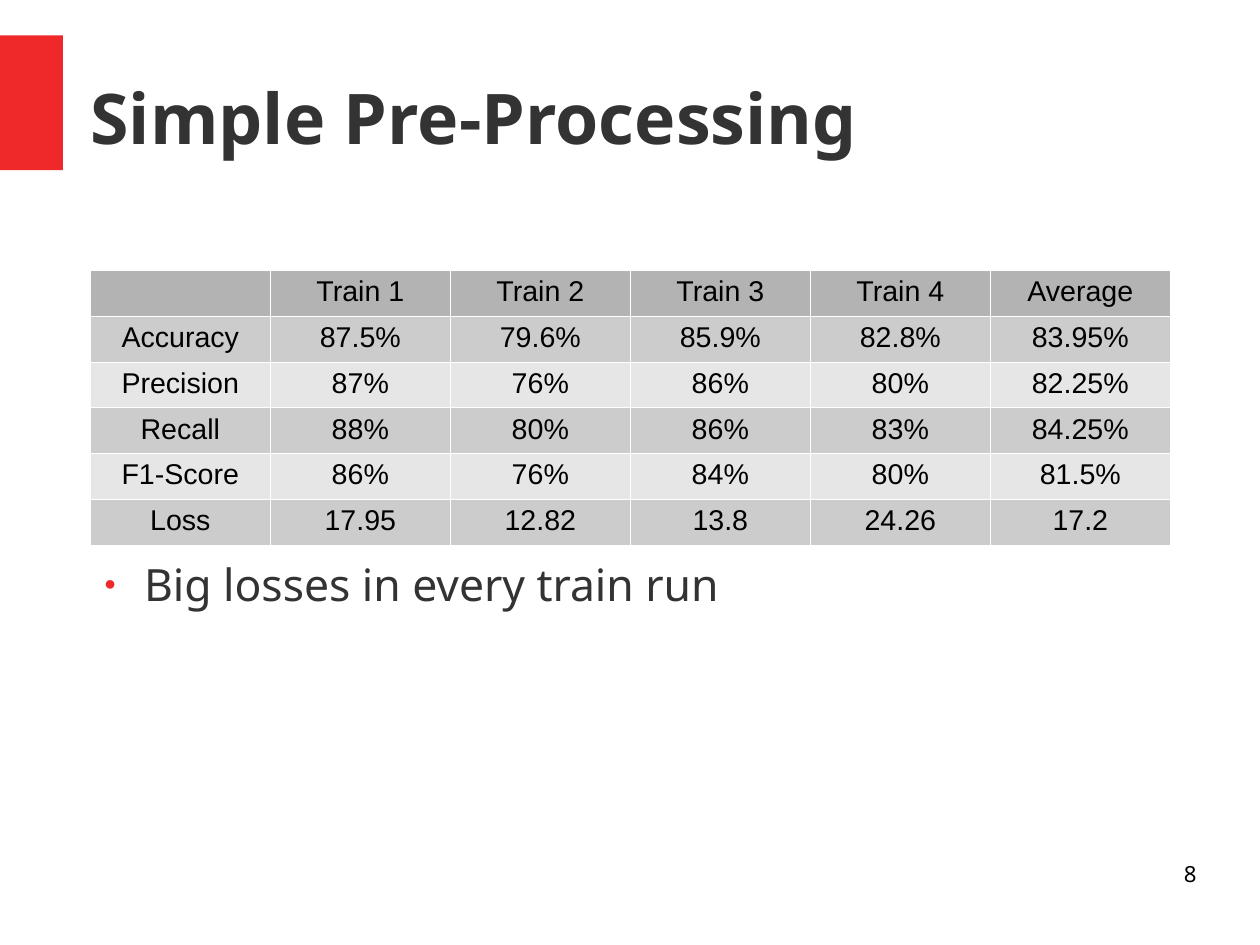
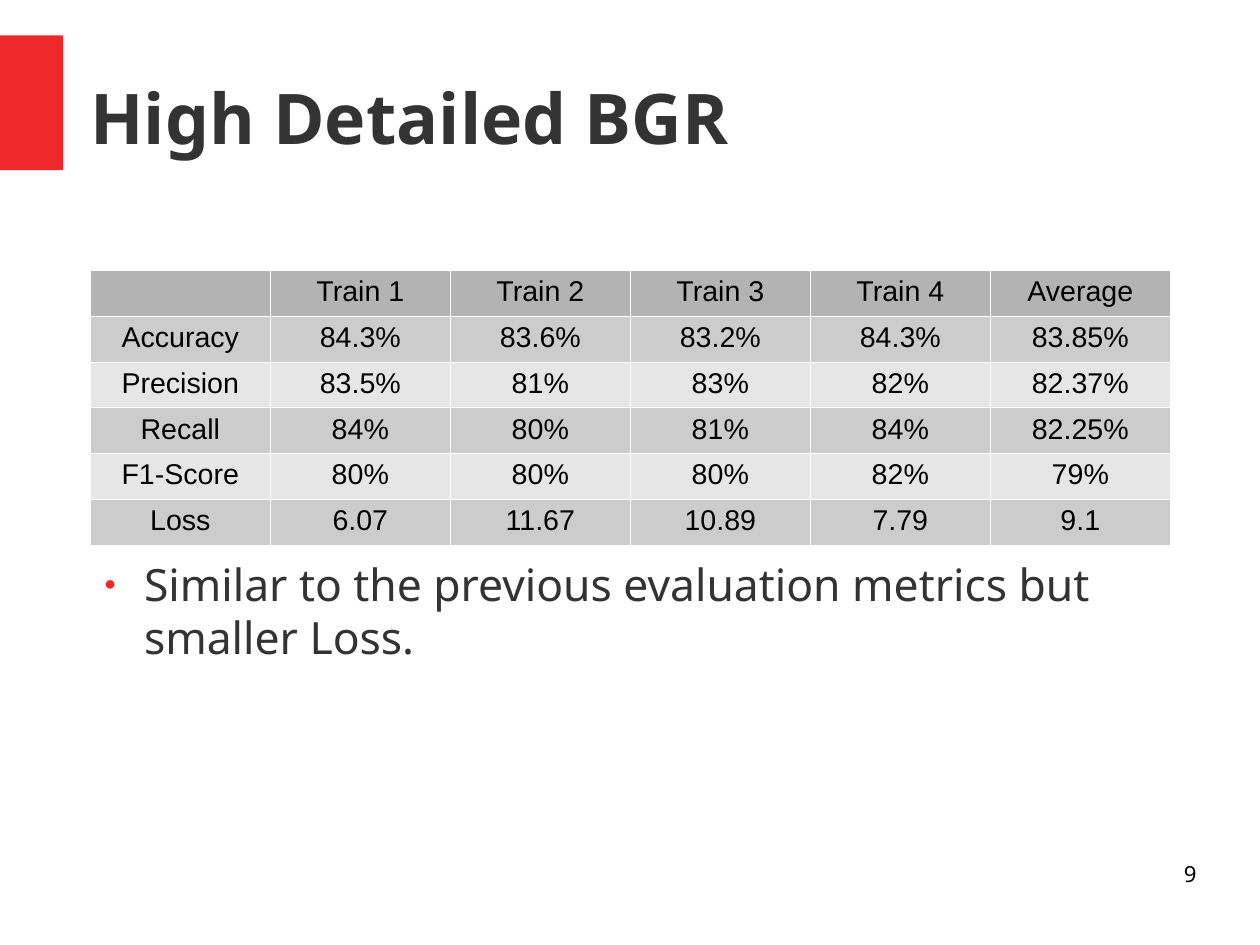
from dataclasses import dataclass

from lxml import etree
from pptx import Presentation
from pptx.dml.color import RGBColor
from pptx.enum.shapes import MSO_SHAPE
from pptx.enum.text import MSO_ANCHOR, PP_ALIGN
from pptx.oxml.ns import qn
from pptx.slide import Slide
from pptx.table import _Cell
from pptx.text.text import TextFrame, _Paragraph
from pptx.util import Inches, Pt

RECTANGLE = MSO_SHAPE.RECTANGLE
TOP, MIDDLE = MSO_ANCHOR.TOP, MSO_ANCHOR.MIDDLE
LEFT, CENTER, RIGHT = PP_ALIGN.LEFT, PP_ALIGN.CENTER, PP_ALIGN.RIGHT

RED, INK, BLACK, WHITE = "EF2929", "333333", "000000", "FFFFFF"
HEADER_GRAY, BAND_GRAYS = "B3B3B3", ("CCCCCC", "E6E6E6")
TEXT_FONT, TABLE_FONT = "Noto Sans", "Arial"

CM_PER_INCH = 2.54
SLIDE_WIDTH, SLIDE_HEIGHT = Inches(28 / CM_PER_INCH), Inches(21 / CM_PER_INCH)
MARGIN, CONTENT_WIDTH = 0.79, 9.45
TABLE_TOP, ROW_HEIGHT = 2.36, 0.4
FIRST_PAGE = 8
HEADER = ("", "Train 1", "Train 2", "Train 3", "Train 4", "Average")


@dataclass(frozen=True)
class Evaluation:
    title: str
    metrics: tuple[tuple[str, ...], ...]
    remark: str


EVALUATIONS = (
    Evaluation(
        "Simple Pre-Processing",
        (
            ("Accuracy", "87.5%", "79.6%", "85.9%", "82.8%", "83.95%"),
            ("Precision", "87%", "76%", "86%", "80%", "82.25%"),
            ("Recall", "88%", "80%", "86%", "83%", "84.25%"),
            ("F1-Score", "86%", "76%", "84%", "80%", "81.5%"),
            ("Loss", "17.95", "12.82", "13.8", "24.26", "17.2"),
        ),
        "Big losses in every train run",
    ),
    Evaluation(
        "High Detailed BGR",
        (
            ("Accuracy", "84.3%", "83.6%", "83.2%", "84.3%", "83.85%"),
            ("Precision", "83.5%", "81%", "83%", "82%", "82.37%"),
            ("Recall", "84%", "80%", "81%", "84%", "82.25%"),
            ("F1-Score", "80%", "80%", "80%", "82%", "79%"),
            ("Loss", "6.07", "11.67", "10.89", "7.79", "9.1"),
        ),
        "Similar to the previous evaluation metrics but smaller Loss.",
    ),
)


def color(value: str) -> RGBColor:
    return RGBColor.from_string(value)


def write(frame: TextFrame, text: str, *, size: float, font: str = TEXT_FONT,
          ink: str = INK, bold: bool = False, align: PP_ALIGN = LEFT,
          anchor: MSO_ANCHOR = TOP, inset: tuple[float, float] = (0, 0)) -> _Paragraph:
    frame.word_wrap = True
    frame.vertical_anchor = anchor
    frame.margin_left = frame.margin_right = Inches(inset[0])
    frame.margin_top = frame.margin_bottom = Inches(inset[1])
    paragraph = frame.paragraphs[0]
    paragraph.alignment = align
    run = paragraph.add_run()
    run.text = text
    run.font.name, run.font.size, run.font.bold = font, Pt(size), bold
    run.font.color.rgb = color(ink)
    return paragraph


def add_accent(slide: Slide) -> None:
    accent = slide.shapes.add_shape(
        RECTANGLE, Inches(0), Inches(0.31), Inches(0.55), Inches(1.18))
    accent.shadow.inherit = False
    accent.fill.solid()
    accent.fill.fore_color.rgb = color(RED)
    accent.line.fill.background()


def add_title(slide: Slide, text: str) -> None:
    title = slide.shapes.title
    title.left, title.top = Inches(MARGIN), Inches(0.33)
    title.width, title.height = Inches(9.68), Inches(1.38)
    write(title.text_frame, text, size=44, bold=True, anchor=MIDDLE)


def set_borders(cell: _Cell) -> None:
    properties = cell._tc.get_or_add_tcPr()
    for position, side in enumerate(("a:lnL", "a:lnR", "a:lnT", "a:lnB")):
        border = etree.Element(qn(side), w=str(Pt(0.06)))
        fill = etree.SubElement(border, qn("a:solidFill"))
        etree.SubElement(fill, qn("a:srgbClr"), val=WHITE)
        properties.insert(position, border)


def add_metrics(slide: Slide, metrics: tuple[tuple[str, ...], ...]) -> None:
    rows = (HEADER, *metrics)
    table = slide.shapes.add_table(
        len(rows), len(HEADER), Inches(MARGIN), Inches(TABLE_TOP),
        Inches(CONTENT_WIDTH), Inches(ROW_HEIGHT * len(rows))).table
    table.first_row = table.horz_banding = False
    for row_index, values in enumerate(rows):
        gray = BAND_GRAYS[(row_index - 1) % 2] if row_index else HEADER_GRAY
        for column_index, value in enumerate(values):
            cell = table.cell(row_index, column_index)
            cell.fill.solid()
            cell.fill.fore_color.rgb = color(gray)
            set_borders(cell)
            if value:
                write(cell.text_frame, value, size=18, font=TABLE_FONT, ink=BLACK,
                      align=CENTER, inset=(0.1, 0.05))


def add_remark(slide: Slide, text: str) -> None:
    remark = slide.shapes.add_textbox(
        Inches(MARGIN), Inches(4.87), Inches(CONTENT_WIDTH), Inches(2.29))
    paragraph = write(remark.text_frame, text, size=28)
    paragraph.space_after = Pt(14.1)
    properties = paragraph._p.get_or_add_pPr()
    properties.set("marL", str(Inches(0.47)))
    properties.set("indent", str(Inches(-0.35)))
    bullet_color = etree.SubElement(properties, qn("a:buClr"))
    etree.SubElement(bullet_color, qn("a:srgbClr"), val=RED)
    etree.SubElement(properties, qn("a:buSzPct"), val="45000")
    etree.SubElement(properties, qn("a:buFont"), typeface=TABLE_FONT)
    etree.SubElement(properties, qn("a:buChar"), char="●")


def add_page_number(slide: Slide, number: int) -> None:
    footer = slide.shapes.add_textbox(
        Inches(7.9), Inches(7.53), Inches(2.57), Inches(0.57))
    write(footer.text_frame, str(number), size=14, ink=BLACK, align=RIGHT)


def main() -> None:
    deck = Presentation()
    deck.slide_width, deck.slide_height = SLIDE_WIDTH, SLIDE_HEIGHT
    title_only = deck.slide_layouts[5]
    for number, evaluation in enumerate(EVALUATIONS, FIRST_PAGE):
        slide = deck.slides.add_slide(title_only)
        add_accent(slide)
        add_title(slide, evaluation.title)
        add_metrics(slide, evaluation.metrics)
        add_remark(slide, evaluation.remark)
        add_page_number(slide, number)
    deck.save("out.pptx")


if __name__ == "__main__":
    main()
